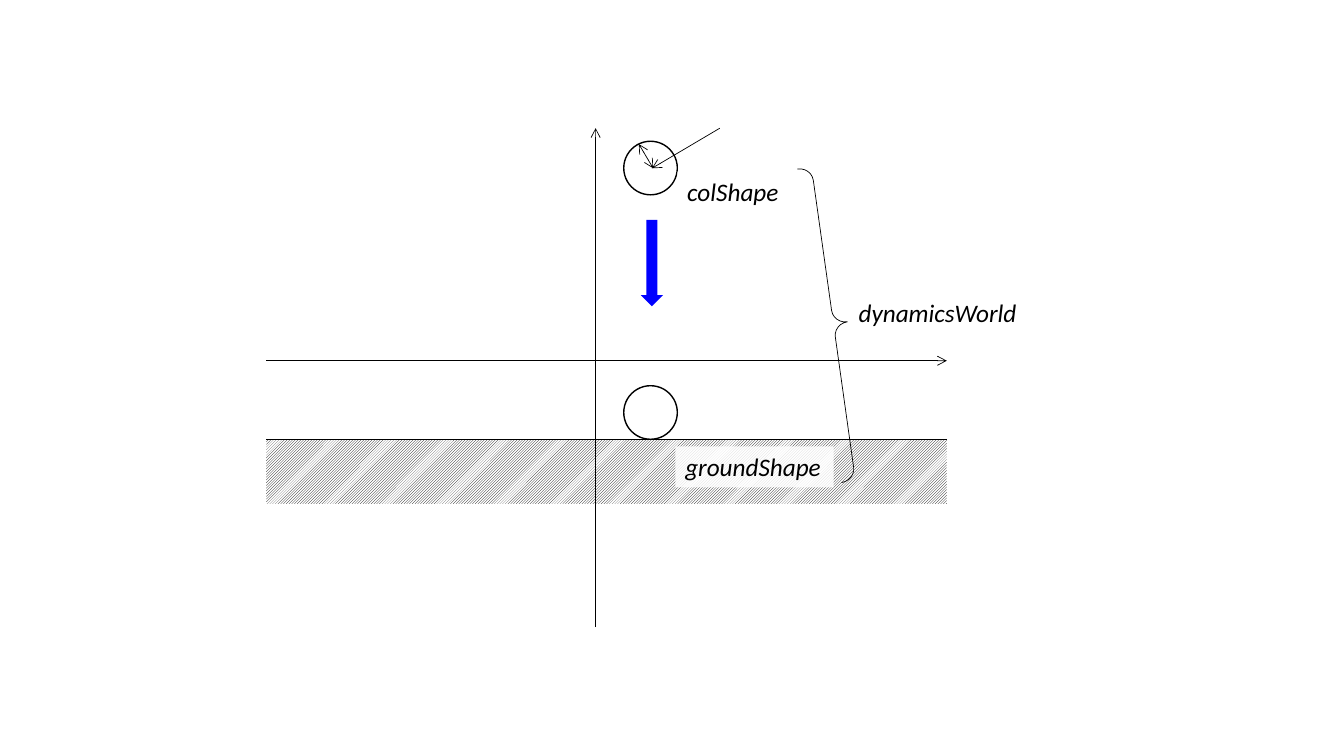
from lxml.etree import SubElement
from pptx import Presentation
from pptx.dml.color import RGBColor
from pptx.enum.dml import MSO_PATTERN
from pptx.enum.shapes import MSO_CONNECTOR, MSO_SHAPE
from pptx.enum.text import MSO_AUTO_SIZE
from pptx.oxml.ns import qn
from pptx.util import Cm, Pt

BLACK = RGBColor(0x00, 0x00, 0x00)
WHITE = RGBColor(0xFF, 0xFF, 0xFF)
BLUE = RGBColor(0x00, 0x00, 0xFF)

GROUND_LEFT, GROUND_RIGHT = 6.71, 23.86
GROUND_TOP, GROUND_DEPTH = 11.07, 1.63
X_AXIS_Y, Y_AXIS_X = 9.09, 15.01
BALL_LEFT, BALL_SIZE = 15.72, 1.35


def add_line(slide, start, end, ends=()):
    """Draw a thin line from start to end; ends lists headEnd and/or tailEnd."""
    line = slide.shapes.add_connector(
        MSO_CONNECTOR.STRAIGHT, *(Cm(value) for value in (*start, *end)))
    line.line.color.rgb = BLACK
    line.line.width = Pt(0.5)
    properties = line._element.spPr
    for arrowhead in ends:
        SubElement(properties.find(qn("a:ln")), qn(f"a:{arrowhead}"), type="arrow")
    SubElement(properties, qn("a:effectLst"))


def add_figure(slide, kind, left, top, width, height, outline=None):
    """Add an unfilled preset shape; outline is the line width in points."""
    figure = slide.shapes.add_shape(kind, Cm(left), Cm(top), Cm(width), Cm(height))
    figure.shadow.inherit = False
    figure.fill.background()
    if outline is None:
        figure.line.fill.background()
    else:
        figure.line.color.rgb = BLACK
        figure.line.width = Pt(outline)
    return figure


def add_ground(slide):
    ground = add_figure(slide, MSO_SHAPE.RECTANGLE, GROUND_LEFT, GROUND_TOP,
                        GROUND_RIGHT - GROUND_LEFT, GROUND_DEPTH)
    ground.fill.patterned()
    ground.fill.pattern = MSO_PATTERN.LIGHT_UPWARD_DIAGONAL
    ground.fill.fore_color.rgb = BLACK
    ground.fill.back_color.rgb = WHITE


def add_ball(slide, top):
    add_figure(slide, MSO_SHAPE.OVAL, BALL_LEFT, top, BALL_SIZE, BALL_SIZE, outline=1)


def add_fall_arrow(slide):
    fall = add_figure(slide, MSO_SHAPE.DOWN_ARROW, 16.15, 5.54, 0.56, 2.18)
    fall.fill.solid()
    fall.fill.fore_color.rgb = BLUE


def add_world_brace(slide):
    brace = add_figure(slide, MSO_SHAPE.RIGHT_BRACE, 20.65, 4.17, 0.71, 7.98, outline=0.5)
    brace.adjustments[0] = 0.475
    brace.rotation = 352


def add_label(slide, name, left, top, width):
    """Add an object name on a slightly transparent white ground."""
    label = slide.shapes.add_textbox(Cm(left), Cm(top), Cm(width), Cm(1.03))
    label.fill.solid()
    label.fill.fore_color.rgb = WHITE
    white = label._element.spPr.find(qn("a:solidFill"))[0]
    SubElement(white, qn("a:alpha"), val="85000")
    frame = label.text_frame
    frame.word_wrap = False
    frame.auto_size = MSO_AUTO_SIZE.SHAPE_TO_FIT_TEXT
    paragraph = frame.paragraphs[0]
    paragraph.text = name
    paragraph.font.name = "Calibri"
    paragraph.font.size = Pt(18)
    paragraph.font.italic = True
    paragraph.font.color.rgb = BLACK


def main():
    presentation = Presentation()
    presentation.slide_width, presentation.slide_height = Cm(33.87), Cm(19.05)
    slide = presentation.slides.add_slide(presentation.slide_layouts[6])

    add_ground(slide)
    add_line(slide, (GROUND_LEFT, X_AXIS_Y), (GROUND_RIGHT, X_AXIS_Y), ["tailEnd"])
    add_line(slide, (Y_AXIS_X, 15.8), (Y_AXIS_X, 3.23), ["tailEnd"])
    add_line(slide, (GROUND_LEFT, GROUND_TOP), (GROUND_RIGHT, GROUND_TOP))

    add_ball(slide, 3.56)
    add_line(slide, (18.14, 3.23), (16.43, 4.24), ["tailEnd"])
    add_fall_arrow(slide)
    add_line(slide, (16.46, 4.24), (16.1, 3.63), ["headEnd", "tailEnd"])
    add_ball(slide, GROUND_TOP - BALL_SIZE)

    add_label(slide, "groundShape", 17.02, 11.25, 3.99)
    add_label(slide, "colShape", 17.07, 4.32, 2.84)
    add_world_brace(slide)
    add_label(slide, "dynamicsWorld", 21.39, 7.37, 4.52)

    presentation.save("out.pptx")


if __name__ == "__main__":
    main()
